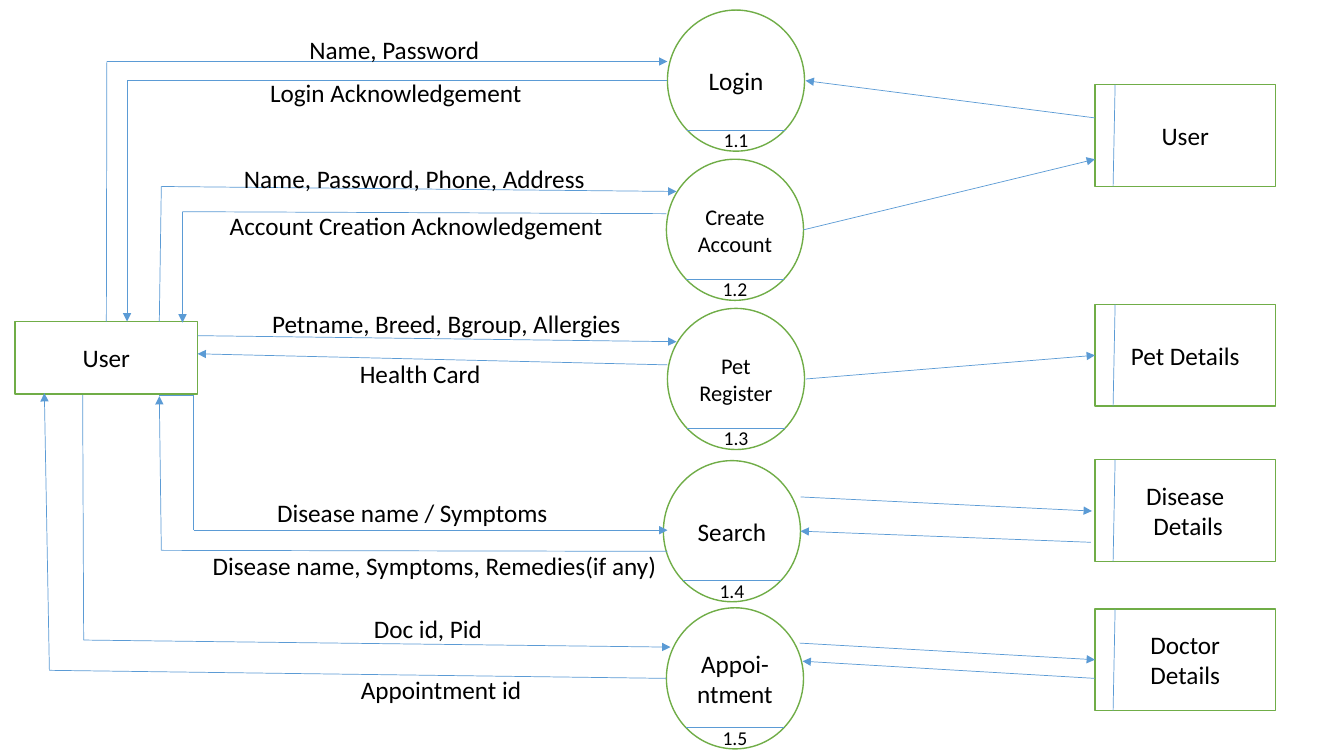
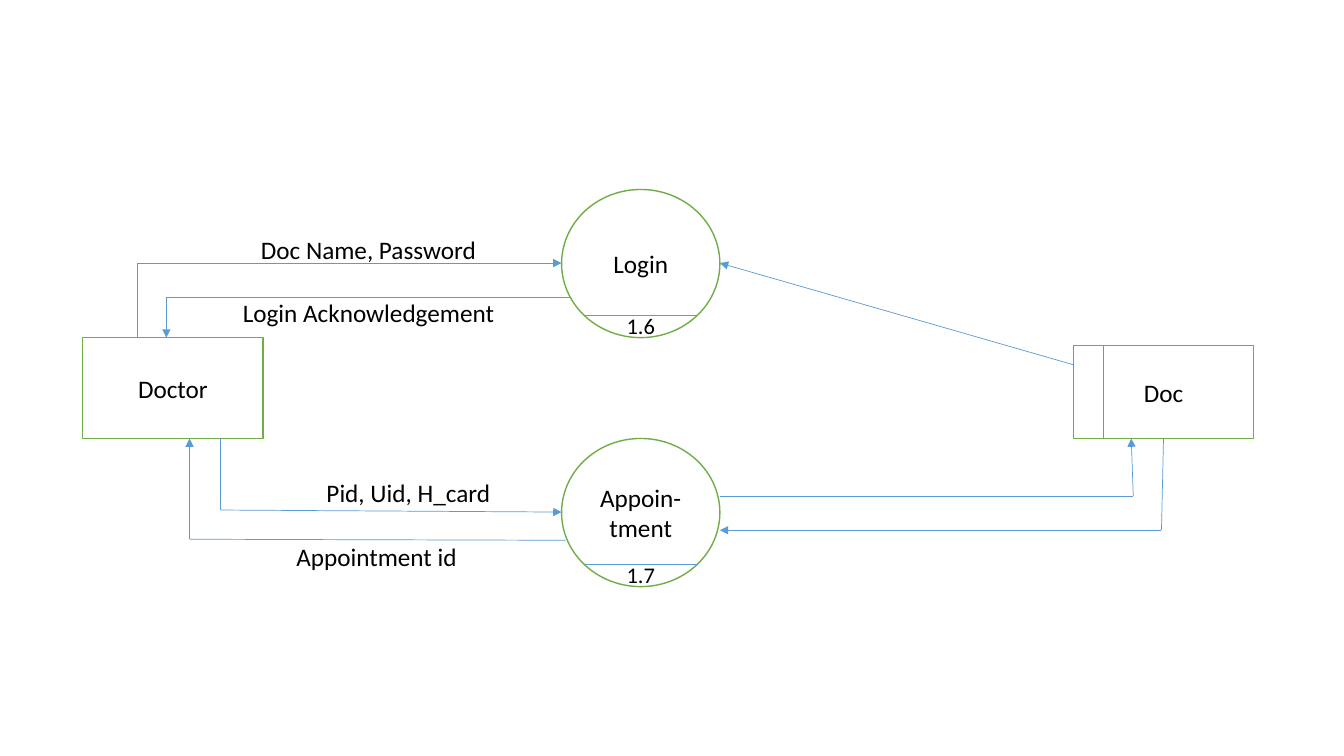
from lxml.etree import SubElement
from pptx import Presentation
from pptx.dml.color import RGBColor
from pptx.enum.shapes import MSO_CONNECTOR, MSO_SHAPE
from pptx.enum.text import MSO_ANCHOR, PP_ALIGN
from pptx.oxml.ns import qn
from pptx.util import Cm, Pt

FONT, BLACK, WHITE = "Calibri", "000000", "FFFFFF"
GREEN, BLUE = "70AD47", "5B9BD5"
NEAR = 0.02             # largest gap at which a line joins a box
CHORD, EDGE = 0.85, 0.145   # line across a process, as shares of its size

# Content, in inches. A flow is a chain of points with its arrow at the end.
USER = {
    "size": (1.36, 1.4), "num": (14, 0.34, 0.07),
    "procs": [  # left, top, text, text size, number
        (6.62, 0.1, "Login", 18, "1.1"),
        (6.61, 1.58, "Create\nAccount", 16, "1.2"),
        (6.62, 3.06, "Pet Register", 16, "1.3"),
        (6.58, 4.57, "Search", 18, "1.4"),
        (6.61, 6.03, "Appoi-ntment", 18, "1.5"),
    ],
    "actor": (0.15, 3.19, 1.81, 0.72, "User"),
    "bar": (0.2, 0.18),  # divider of a store: offset at top and bottom
    "stores": [
        (10.86, 0.84, 1.79, 1.01, "User"),
        (10.86, 3.02, 1.79, 1.01, "Pet Details"),
        (10.86, 4.56, 1.79, 1.01, "Disease\n Details"),
        (10.86, 6.04, 1.79, 1.01, "Doctor\nDetails"),
    ],
    "flows": [
        # processes and stores
        [(10.86, 1.17), (7.99, 0.8)],
        [(7.97, 2.28), (10.86, 1.58)],
        [(7.99, 3.76), (10.86, 3.53)],
        [(7.94, 4.93), (10.83, 5.07)],
        [(10.82, 5.38), (7.94, 5.27)],
        [(7.93, 6.38), (10.85, 6.56)],
        [(10.86, 6.73), (7.96, 6.56)],
        # user and processes
        [(1.06, 3.19), (1.06, 0.61), (6.62, 0.61)],
        [(6.62, 0.8), (1.26, 0.8), (1.26, 3.19)],
        [(1.58, 3.19), (1.6, 1.85), (6.71, 1.9)],
        [(6.61, 2.12), (1.81, 2.1), (1.81, 3.2)],
        [(1.96, 3.33), (6.71, 3.39)],
        [(6.62, 3.62), (1.96, 3.51)],
        [(1.58, 3.92), (1.92, 3.92), (1.92, 5.26), (6.62, 5.26)],
        [(6.62, 5.47), (1.6, 5.46), (1.58, 3.93)],
        [(0.82, 3.92), (0.83, 6.35), (6.65, 6.42)],
        [(6.61, 6.73), (0.49, 6.65), (0.44, 3.9)],
    ],
    "labels": [  # left, top, width, text
        (2.97, 0.29, 1.9, "Name, Password"),
        (2.58, 0.72, 2.73, "Login Acknowledgement"),
        (2.32, 1.57, 3.62, "Name, Password, Phone, Address"),
        (2.18, 2.04, 3.95, "Account Creation Acknowledgement"),
        (2.6, 3.01, 3.7, "Petname, Breed, Bgroup, Allergies"),
        (3.47, 3.51, 1.41, "Health Card"),
        (2.65, 4.88, 2.91, "Disease name / Symptoms"),
        (2.01, 5.41, 4.65, "Disease name, Symptoms, Remedies(if any)"),
        (3.61, 6.04, 1.29, "Doc id, Pid"),
        (3.48, 6.64, 1.81, "Appointment id"),
    ],
}
DOCTOR = {
    "size": (1.57, 1.47), "num": (16, 0.37, 0.08),
    "procs": [
        (5.57, 1.88, "Login", 18, "1.6"),
        (5.57, 4.35, "Appoin-tment", 18, "1.7"),
    ],
    "actor": (0.82, 3.35, 1.79, 1, "Doctor"),
    "bar": (0.29, 0.29),
    "stores": [(10.65, 3.43, 1.78, 0.92, "Doc")],
    "flows": [
        [(1.36, 3.35), (1.36, 2.61), (5.57, 2.61)],
        [(5.65, 2.95), (1.65, 2.95), (1.65, 3.35)],
        [(10.65, 3.62), (7.14, 2.61)],
        [(2.19, 4.35), (2.19, 5.06), (5.57, 5.08)],
        [(5.61, 5.36), (1.88, 5.35), (1.88, 4.35)],
        [(7.14, 4.92), (11.24, 4.92), (11.22, 4.35)],
        [(11.54, 4.35), (11.52, 5.26), (7.14, 5.26)],
    ],
    "labels": [
        (2.49, 2.28, 2.36, "Doc Name, Password"),
        (2.31, 2.9, 2.73, "Login Acknowledgement"),
        (3.14, 4.69, 1.84, "Pid, Uid, H_card"),
        (2.84, 5.32, 1.81, "Appointment id"),
    ],
}


def cm(*vals):
    return [Cm(2.54 * val) for val in vals]


def tint(code):
    return RGBColor.from_string(code)


def write(shape, text, size, align):
    frame = shape.text_frame
    frame.text = text
    for para in frame.paragraphs:
        para.alignment = align
        for run in para.runs:
            run.font.name, run.font.size = FONT, Pt(size)
            run.font.color.rgb = tint(BLACK)


def block(slide, kind, box, text, size=18):
    shape = slide.shapes.add_shape(kind, *cm(*box))
    shape.shadow.inherit = False
    shape.fill.solid()
    shape.fill.fore_color.rgb = tint(WHITE)
    shape.line.color.rgb = tint(GREEN)
    shape.line.width = Pt(1)
    shape.text_frame.vertical_anchor = MSO_ANCHOR.MIDDLE
    write(shape, text, size, PP_ALIGN.CENTER)
    return shape


def label(slide, box, text, size=18, align=PP_ALIGN.LEFT):
    shape = slide.shapes.add_textbox(*cm(*box))
    shape.text_frame.word_wrap = False
    write(shape, text, size, align)


def line(slide, start, end, arrow=False):
    link = slide.shapes.add_connector(
        MSO_CONNECTOR.STRAIGHT, *cm(*start, *end))
    link.line.color.rgb = tint(BLUE)
    link.line.width = Pt(0.5)
    props = link._element.spPr
    if arrow:
        SubElement(props.find(qn("a:ln")), qn("a:tailEnd"), type="triangle")
    SubElement(props, qn("a:effectLst"))
    return link


def sites(box):
    """Middles of the sides: top, left, bottom, right."""
    x, y, w, h = box
    return [(x + w / 2, y), (x, y + h / 2),
            (x + w / 2, y + h), (x + w, y + h / 2)]


def join(point, boxes, connect):
    for shape, box in boxes:
        for side, (x, y) in enumerate(sites(box)):
            if abs(x - point[0]) < NEAR and abs(y - point[1]) < NEAR:
                connect(shape, side)


def draw(slide, data):
    # Processes with their numbers
    w, h = data["size"]
    size, tall, lift = data["num"]
    for x, y, text, pt, num in data["procs"]:
        block(slide, MSO_SHAPE.OVAL, (x, y, w, h), text, pt)
        low = y + CHORD * h
        line(slide, (x + EDGE * w, low), (x + w - EDGE * w, low))
        label(slide, (x, low - lift, w, tall), num, size, PP_ALIGN.CENTER)

    # Actor and data stores
    boxes = []
    for *box, text in [data["actor"], *data["stores"]]:
        boxes.append((block(slide, MSO_SHAPE.RECTANGLE, box, text), box))
    top, foot = data["bar"]
    for x, y, _, tall, _ in data["stores"]:
        line(slide, (x + top, y), (x + foot, y + tall))

    # Flows
    for flow in data["flows"]:
        for start, end in zip(flow, flow[1:]):
            link = line(slide, start, end, end == flow[-1])
            if start == flow[0]:
                join(start, boxes, link.begin_connect)
            if end == flow[-1]:
                join(end, boxes, link.end_connect)

    # Flow names
    for *spot, text in data["labels"]:
        label(slide, (*spot, 0.4), text)


def main():
    deck = Presentation()
    deck.slide_width, deck.slide_height = cm(13.33, 7.5)
    for data in (USER, DOCTOR):
        draw(deck.slides.add_slide(deck.slide_layouts[6]), data)
    deck.save("out.pptx")


if __name__ == "__main__":
    main()
